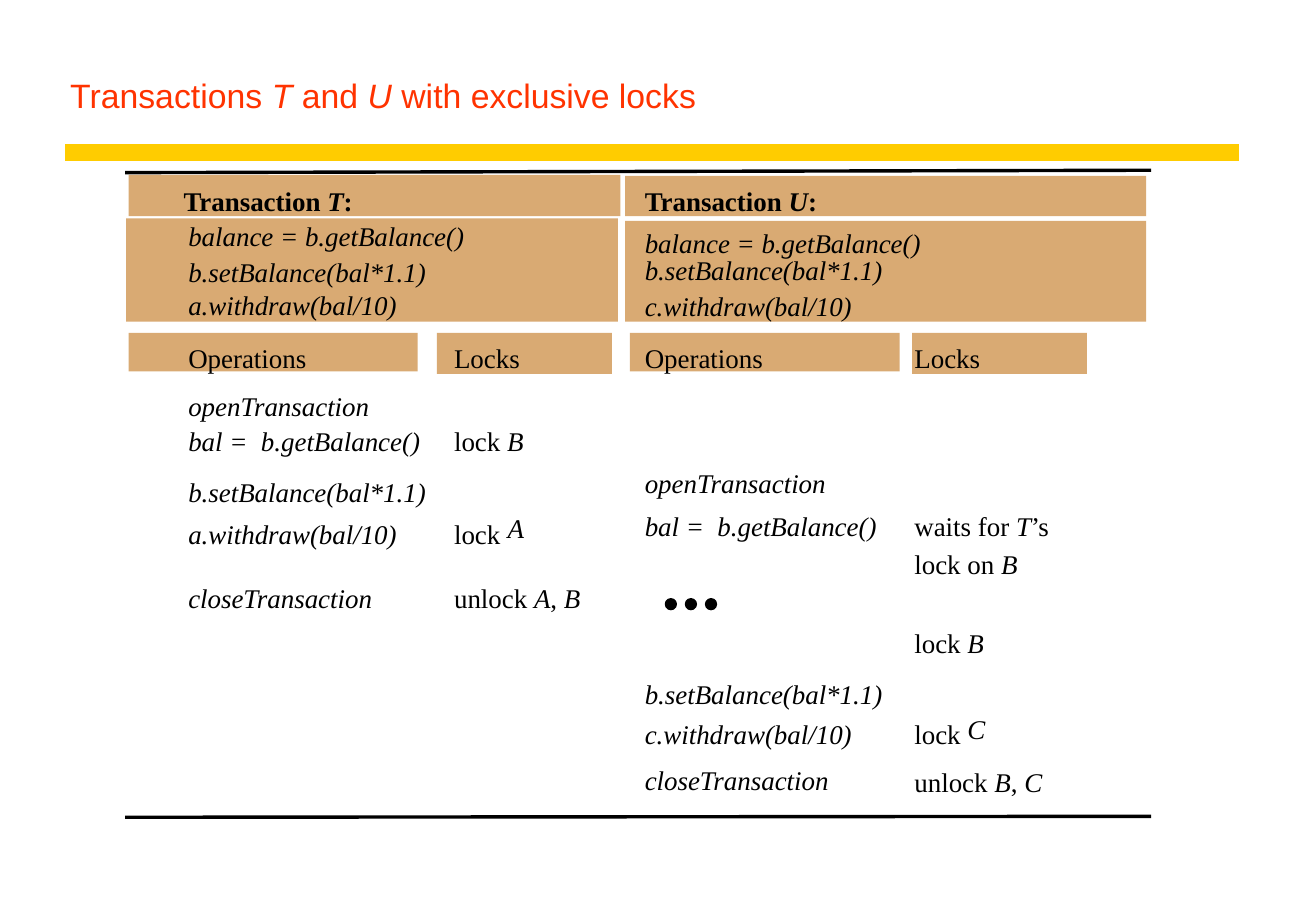
from pptx import Presentation
from pptx.dml.color import RGBColor
from pptx.enum.shapes import MSO_CONNECTOR, MSO_SHAPE
from pptx.enum.text import MSO_ANCHOR
from pptx.oxml import parse_xml
from pptx.oxml.ns import nsdecls
from pptx.util import Cm, Pt

theme = {
    "red": RGBColor(0xFF, 0x33, 0x00),
    "gold": RGBColor(0xFF, 0xCC, 0x00),
    "tan": RGBColor(0xD9, 0xAA, 0x73),
    "black": RGBColor(0, 0, 0),
    "title": {"name": "Arial", "size": Pt(20), "bold": False},
    "head": {"name": "Times New Roman", "size": Pt(16), "bold": True},
    "body": {"name": "Times New Roman", "size": Pt(16), "bold": False},
}

deck = Presentation()
deck.slide_width, deck.slide_height = Cm(27.53), Cm(19.05)
slide = deck.slides.add_slide(deck.slide_layouts[6])
shapes = slide.shapes


def write(place, text, style="body", color="black", inset=(0, 0)):
    """Add a text box; underscores switch italics on and off."""
    box = shapes.add_textbox(*[Cm(n) for n in place])
    frame = box.text_frame
    side, edge = [Cm(n) for n in inset]
    form = {"word_wrap": True, "vertical_anchor": MSO_ANCHOR.BOTTOM,
            "margin_left": side, "margin_right": side,
            "margin_top": edge, "margin_bottom": edge}
    for key, value in form.items():
        setattr(frame, key, value)
    for i, part in enumerate(text.split("_")):
        if part:
            run = frame.paragraphs[0].add_run()
            run.text = part
            for key, value in theme[style].items():
                setattr(run.font, key, value)
            run.font.italic = i % 2 == 1
            run.font.color.rgb = theme[color]


def fill(kind, place, color):
    """Add a flat shape in one colour."""
    shape = shapes.add_shape(kind, *[Cm(n) for n in place])
    shape.shadow.inherit = False
    shape.fill.solid()
    shape.fill.fore_color.rgb = theme[color]
    shape.line.fill.background()
    return shape


# Rules: title bar, table top and table foot
for x1, y1, x2, y2, color, width in [
    (1.37, 3.18, 25.91, 3.18, "gold", 10),
    (2.62, 3.61, 24.08, 3.56, "black", 2),
    (2.62, 17.09, 24.08, 17.07, "black", 2),
]:
    rule = shapes.add_connector(
        MSO_CONNECTOR.STRAIGHT, Cm(x1), Cm(y1), Cm(x2), Cm(y2))
    rule.line.color.rgb = theme[color]
    rule.line.width = Pt(width)
    rule._element.spPr.append(parse_xml(f"<a:effectLst {nsdecls('a')}/>"))

# Tan bands behind the headings
for band in [
    (2.69, 3.66, 10.29, 0.86), (13.08, 3.68, 10.9, 0.84),
    (2.64, 4.57, 10.29, 2.16), (13.08, 4.62, 10.9, 2.11),
    (2.69, 6.96, 6.05, 0.81), (9.14, 6.96, 3.66, 0.86),
    (13.18, 6.96, 5.64, 0.81), (19.08, 6.96, 3.66, 0.86),
]:
    fill(MSO_SHAPE.RECTANGLE, band, "tan")

# Title
write((1.22, 0.64, 24.69, 1.9), "Transactions _T_ and _U_ with exclusive locks",
      "title", "red", (0.25, 0.13))

# Transaction names
tall = 0.69
write((3.84, 3.84, 3.7, tall), "Transaction _T_:", "head")
write((13.49, 3.84, 3.7, tall), "Transaction _U_:", "head")

# Columns: left edge, then top, width and text of each line
columns = {
    3.94: [
        (4.57, 5.9, "_balance = b.getBalance()_"),
        (5.33, 5.1, "_b.setBalance(bal*1.1)_"),
        (6.02, 4.5, "_a.withdraw(bal/10)_"),
        (7.14, 2.6, "Operations"),
        (8.13, 3.9, "_openTransaction_"),
        (8.86, 5.0, "_bal =  b.getBalance()_"),
        (9.93, 5.1, "_b.setBalance(bal*1.1)_"),
        (10.82, 4.5, "_a.withdraw(bal/10)_"),
        (12.14, 4.0, "_closeTransaction_"),
    ],
    9.5: [
        (7.14, 1.5, "Locks"),
        (8.86, 1.6, "lock _B_"),
        (10.82, 1.2, "lock"),
        (12.14, 2.8, "unlock _A_, _B_"),
    ],
    13.49: [
        (4.72, 5.9, "_balance = b.getBalance()_"),
        (5.28, 5.1, "_b.setBalance(bal*1.1)_"),
        (6.05, 4.5, "_c.withdraw(bal/10)_"),
        (7.14, 2.6, "Operations"),
        (9.75, 3.9, "_openTransaction_"),
        (10.64, 5.0, "_bal =  b.getBalance()_"),
        (14.15, 5.1, "_b.setBalance(bal*1.1)_"),
        (14.99, 4.5, "_c.withdraw(bal/10)_"),
        (15.95, 4.0, "_closeTransaction_"),
    ],
    19.13: [
        (7.14, 1.5, "Locks"),
        (10.64, 3.0, "waits for _T_’s"),
        (11.43, 2.3, "lock on _B_"),
        (13.08, 1.6, "lock _B_"),
        (14.99, 1.2, "lock"),
        (16.0, 2.8, "unlock _B_, _C_"),
    ],
    # Lock names set a little higher than their line
    10.62: [(10.69, 0.45, "_A_")],
    20.24: [(14.88, 0.45, "_C_")],
}
for left, lines in columns.items():
    for top, width, text in lines:
        write((left, top, width, tall), text)

# Three dots while U waits
for i in range(3):
    dot = fill(MSO_SHAPE.OVAL, (13.92 + 0.42 * i, 12.52, 0.23, 0.23), "black")
    dot.line.color.rgb = theme["black"]
    dot.line.width = Pt(0.75)

deck.save("out.pptx")
